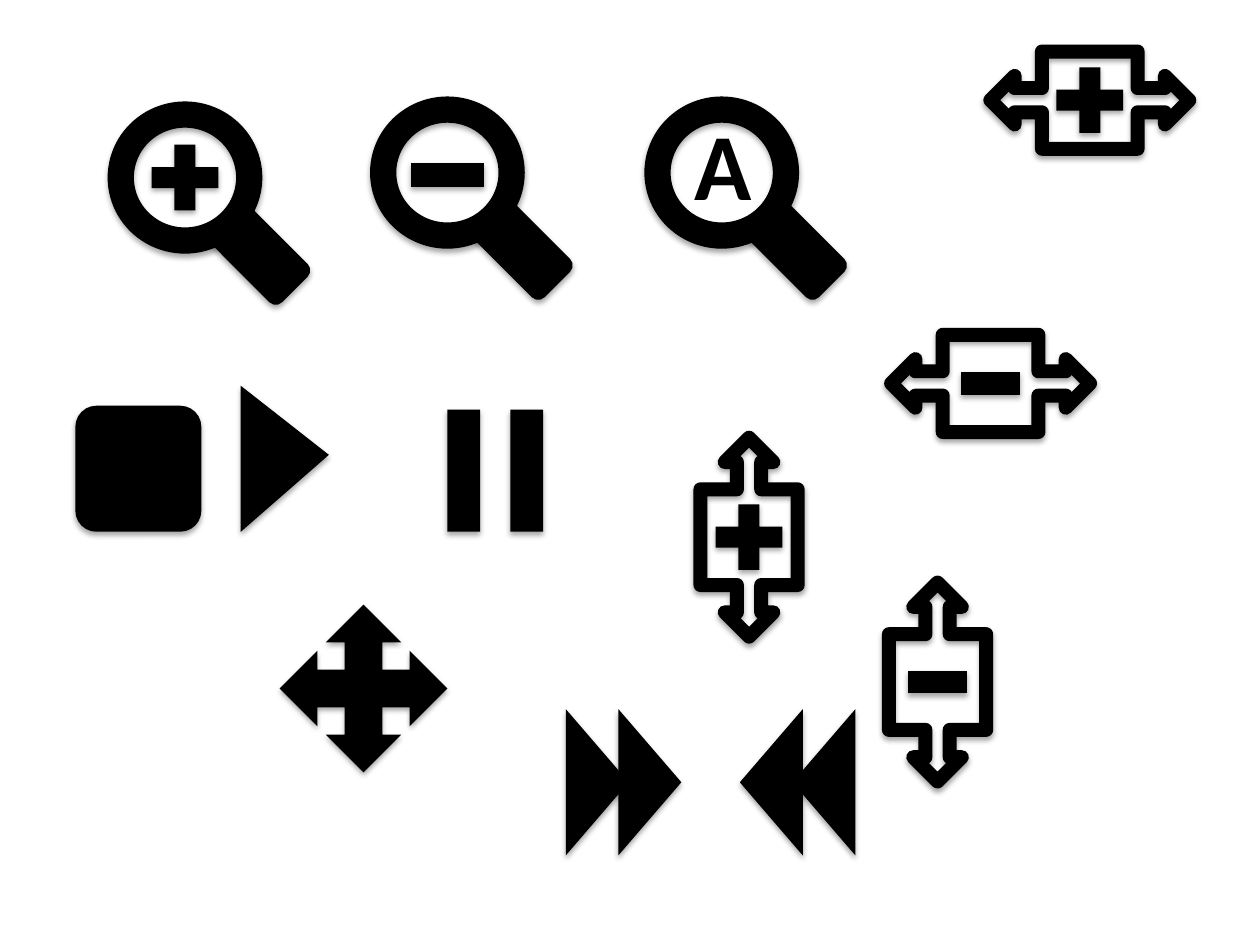
from lxml import etree
from pptx import Presentation
from pptx.dml.color import RGBColor
from pptx.enum.shapes import MSO_SHAPE
from pptx.enum.text import MSO_AUTO_SIZE, PP_ALIGN
from pptx.oxml.ns import qn
from pptx.util import Cm, Pt

BLACK = RGBColor(0, 0, 0)
CALLOUT = MSO_SHAPE.LEFT_RIGHT_ARROW_CALLOUT
PLUS, MINUS = MSO_SHAPE.MATH_PLUS, MSO_SHAPE.MATH_MINUS
OVAL, ROUND = MSO_SHAPE.OVAL, MSO_SHAPE.ROUNDED_RECTANGLE
RECT, WEDGE = MSO_SHAPE.RECTANGLE, MSO_SHAPE.ISOSCELES_TRIANGLE
QUAD = MSO_SHAPE.QUAD_ARROW
CENTER, GROW = PP_ALIGN.CENTER, MSO_AUTO_SIZE.SHAPE_TO_FIT_TEXT


def shade(shape):
    """Give the shape a soft shadow that falls straight down."""
    shape.shadow.inherit = False
    effects = shape._element.spPr.find(qn("a:effectLst"))
    outer = etree.SubElement(effects, qn("a:outerShdw"), blurRad="40000",
                             dist="23000", dir="5400000", rotWithShape="0")
    tint = etree.SubElement(outer, qn("a:srgbClr"), val="000000")
    etree.SubElement(tint, qn("a:alpha"), val="35000")


def place(home, kind, x, y, width, height, turn=0, line=0):
    """Centre a black shape on x, y (cm): an outline if line is set, else solid."""
    shape = home.add_shape(kind, Cm(x - width / 2), Cm(y - height / 2),
                           Cm(width), Cm(height))
    shape.rotation = turn
    if line:
        shape.fill.background()
        shape.line.color.rgb = BLACK
        shape.line.width = Pt(line)
    else:
        shape.fill.solid()
        shape.fill.fore_color.rgb = BLACK
        shape.line.fill.background()
    shade(shape)
    return shape


prs = Presentation()
prs.slide_width, prs.slide_height = Cm(25.4), Cm(19.05)
slide = prs.slides.add_slide(prs.slide_layouts[6])
shapes = slide.shapes

# Stretch and shrink icons
for x, y, turn, sign, width, height in (
    (15.1, 10.83, 90, PLUS, 1.83, 1.8),
    (18.9, 13.75, 90, MINUS, 1.63, 1.96),
    (21.97, 2.02, 0, PLUS, 1.83, 1.8),
    (19.97, 7.73, 0, MINUS, 1.63, 1.96),
):
    icon = shapes.add_group_shape().shapes
    place(icon, CALLOUT, x, y, 4.01, 1.96, turn, line=8)
    place(icon, sign, x, y, width, height)

# Move icon
place(shapes, QUAD, 7.33, 13.88, 3.38, 3.38)

# Zoom icons
for x, y, sign, width, height in (
    (3.73, 3.58, PLUS, 1.83, 1.8),
    (9.02, 3.48, MINUS, 2.01, 2.01),
    (14.55, 3.48, None, 0, 0),
):
    icon = shapes.add_group_shape().shapes
    place(icon, OVAL, x, y, 2.59, 2.54, line=15)
    if sign is not None:
        place(icon, sign, x, y + (0.05 if sign == MINUS else 0), width, height)
    place(icon, ROUND, x + 1.47, y + 1.51, 2.11, 1.09, 45)

# Letter in the third lens
box = shapes.add_textbox(Cm(13.74), Cm(2.01), Cm(1.68), Cm(2.57))
frame = box.text_frame
frame.word_wrap = False
frame.auto_size = GROW
para = frame.paragraphs[0]
para.alignment = CENTER
run = para.add_run()
run.text = "A"
run.font.name = "Calibri"
run.font.size = Pt(54)
run.font.bold = True
run.font.color.rgb = BLACK

# Stop and play
place(shapes, ROUND, 2.79, 9.45, 2.54, 2.54)
play = place(shapes, WEDGE, 5.74, 9.25, 2.95, 1.78, 90)
play.adjustments[0] = 0.473

# Pause, forward and rewind: two like parts each
for kind, spots, y, width, height, turn in (
    (RECT, (9.35, 10.62), 9.49, 0.66, 2.46, 0),
    (WEDGE, (12.04, 13.1), 15.77, 2.95, 1.27, 90),
    (WEDGE, (16.61, 15.55), 15.77, 2.95, 1.27, 270),
):
    icon = shapes.add_group_shape().shapes
    for x in spots:
        place(icon, kind, x, y, width, height, turn)

prs.save("out.pptx")
